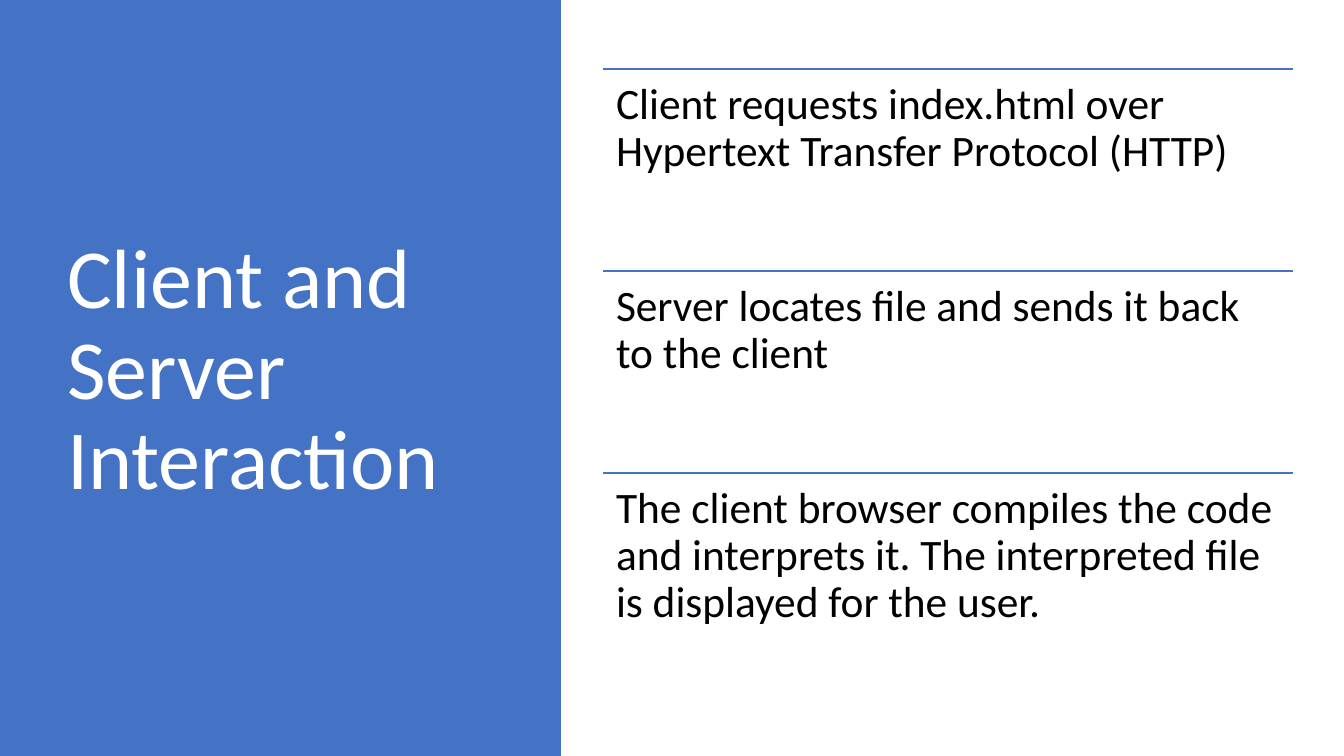
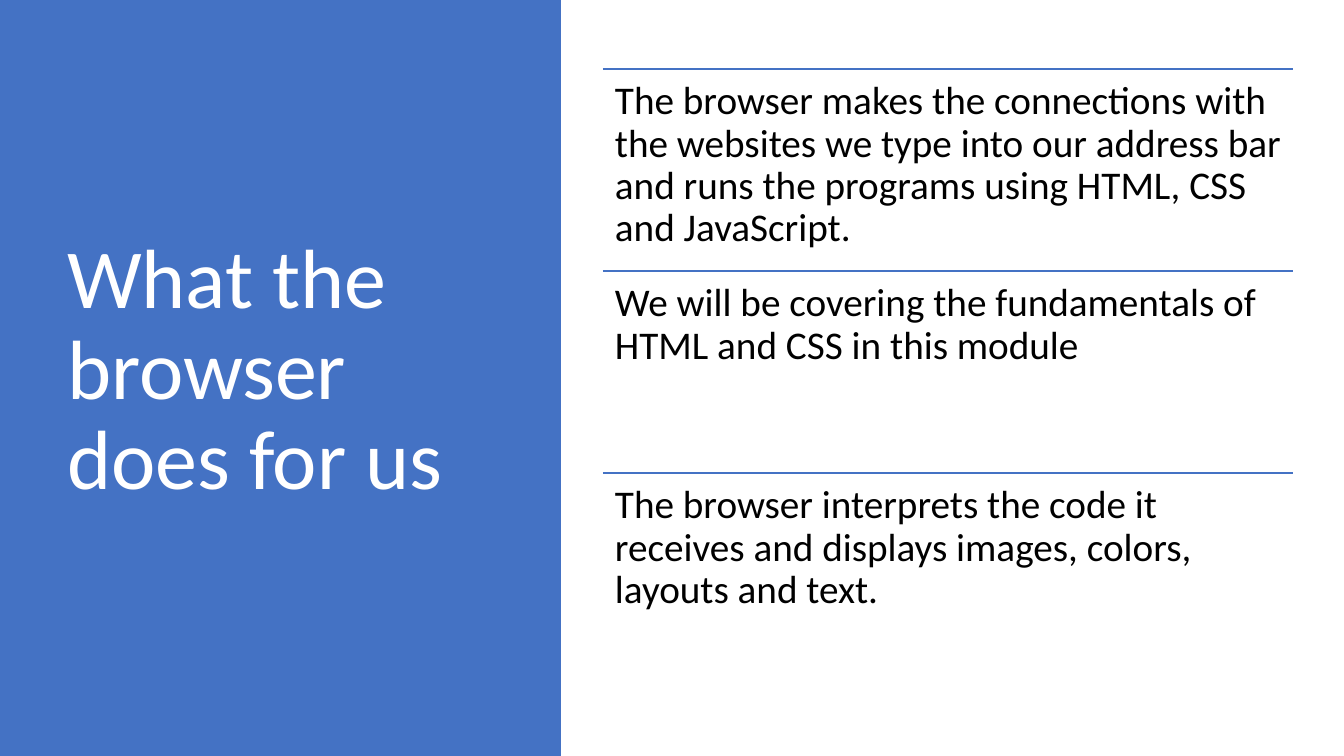
from dataclasses import dataclass

from lxml import etree
from pptx import Presentation
from pptx.dml.color import RGBColor
from pptx.enum.shapes import MSO_CONNECTOR, MSO_SHAPE
from pptx.enum.text import MSO_ANCHOR, MSO_AUTO_SIZE, PP_ALIGN
from pptx.oxml.ns import qn
from pptx.slide import Slide
from pptx.text.text import TextFrame
from pptx.util import Emu, Pt

RECT = MSO_SHAPE.RECTANGLE
STRAIGHT = MSO_CONNECTOR.STRAIGHT
TOP, MIDDLE = MSO_ANCHOR.TOP, MSO_ANCHOR.MIDDLE
LEFT = PP_ALIGN.LEFT
NO_AUTOFIT = MSO_AUTO_SIZE.NONE

BLUE = RGBColor(0x44, 0x72, 0xC4)
WHITE = RGBColor(0xFF, 0xFF, 0xFF)
BLACK = RGBColor(0x00, 0x00, 0x00)
FONT = "Calibri"
TITLE_SIZE = 60
LINE_SPACING = 0.9
TITLE_ONLY = 5

# Layout in px
PX_PER_INCH = 100.8
SLIDE_W, SLIDE_H = 1344, 756
PANEL_W = 561
TITLE_X, TITLE_W = 57, 419
CONTENT_Y, CONTENT_H = 69, 606
LIST_X, LIST_W = 603, 690


@dataclass(frozen=True)
class Topic:
    title: str
    points: tuple[str, ...]
    size: int
    inset: int


TOPICS = (
    Topic(
        "Client and Server Interaction",
        (
            "Client requests index.html over Hypertext Transfer Protocol (HTTP)",
            "Server locates file and sends it back to the client",
            "The client browser compiles the code and interprets it. "
            "The interpreted file is displayed for the user.",
        ),
        size=31,
        inset=13,
    ),
    Topic(
        "What the browser does for us",
        (
            "The browser makes the connections with the websites we type into "
            "our address bar and runs the programs using HTML, CSS and JavaScript.",
            "We will be covering the fundamentals of HTML and CSS in this module",
            "The browser interprets the code it receives and displays images, "
            "colors, layouts and text.",
        ),
        size=28,
        inset=12,
    ),
)


def px(n: int) -> Emu:
    return Emu(round(n * 914400 / PX_PER_INCH))


def set_text(tf: TextFrame, text: str, size: int, color: RGBColor,
             anchor: MSO_ANCHOR) -> None:
    tf.text = text
    tf.word_wrap = True
    tf.auto_size = NO_AUTOFIT
    tf.vertical_anchor = anchor
    p = tf.paragraphs[0]
    p.alignment = LEFT
    p.line_spacing = LINE_SPACING
    p.font.name = FONT
    p.font.size = Pt(size)
    p.font.color.rgb = color


def add_title(s: Slide, text: str) -> None:
    title = s.shapes.title
    title.left, title.top = px(TITLE_X), px(CONTENT_Y)
    title.width, title.height = px(TITLE_W), px(CONTENT_H)
    set_text(title.text_frame, text, TITLE_SIZE, WHITE, MIDDLE)

    # Coloured panel behind the title
    panel = s.shapes.add_shape(RECT, 0, 0, px(PANEL_W), px(SLIDE_H))
    panel.shadow.inherit = False
    panel.fill.solid()
    panel.fill.fore_color.rgb = BLUE
    panel.line.fill.background()
    title.element.addprevious(panel.element)


def add_rule(s: Slide, y: int) -> None:
    rule = s.shapes.add_connector(
        STRAIGHT, px(LIST_X), px(y), px(LIST_X + LIST_W), px(y))
    rule.line.color.rgb = BLUE
    rule.line.width = Pt(1)
    etree.SubElement(rule.element.spPr, qn("a:effectLst"))


def add_point(s: Slide, text: str, y: int, h: int, topic: Topic) -> None:
    box = s.shapes.add_textbox(px(LIST_X), px(y), px(LIST_W), px(h))
    tf = box.text_frame
    tf.margin_left = tf.margin_right = px(topic.inset)
    tf.margin_top = tf.margin_bottom = px(topic.inset)
    set_text(tf, text, topic.size, BLACK, TOP)


def add_topic(s: Slide, topic: Topic) -> None:
    add_title(s, topic.title)
    # Equal rows, each opened by a rule
    row_h = CONTENT_H // len(topic.points)
    for i, text in enumerate(topic.points):
        y = CONTENT_Y + i * row_h
        add_rule(s, y)
        add_point(s, text, y, row_h, topic)


def main() -> None:
    prs = Presentation()
    prs.slide_width, prs.slide_height = px(SLIDE_W), px(SLIDE_H)
    for topic in TOPICS:
        add_topic(prs.slides.add_slide(prs.slide_layouts[TITLE_ONLY]), topic)
    prs.save("out.pptx")


if __name__ == "__main__":
    main()
